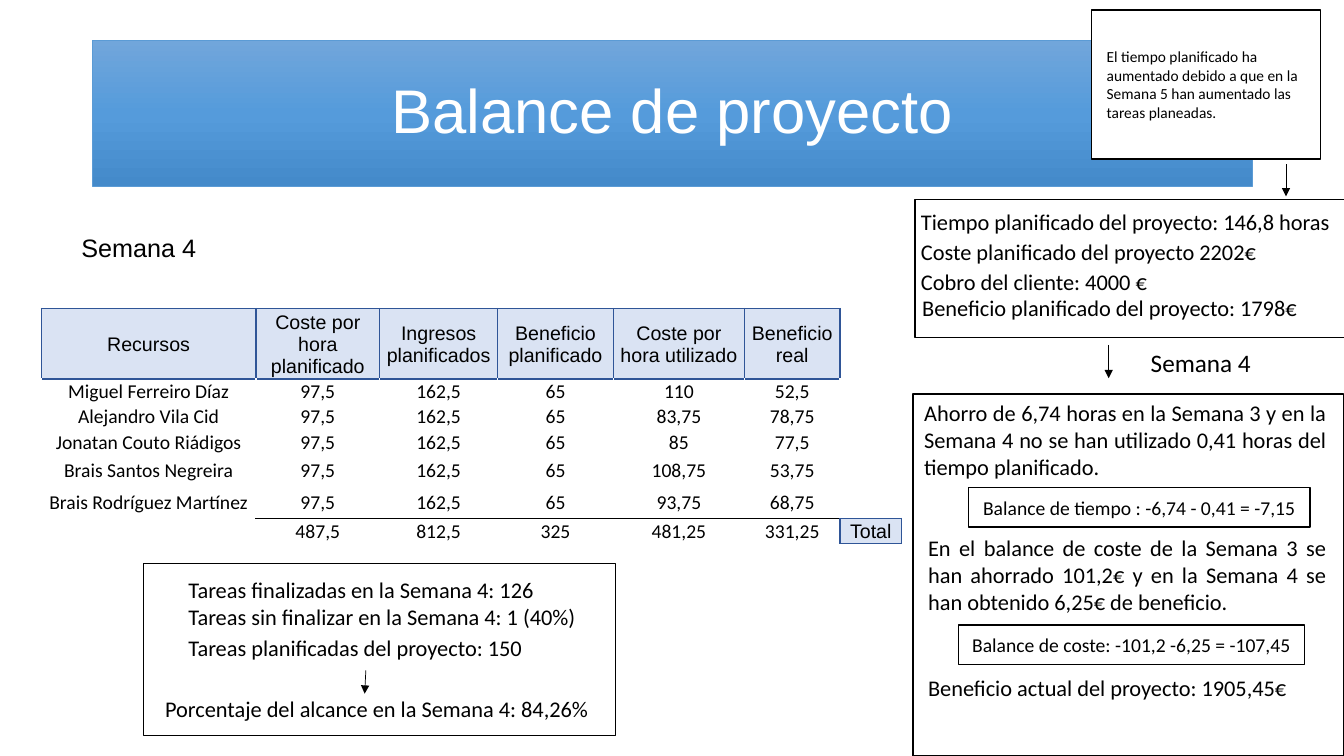
from copy import deepcopy
from dataclasses import dataclass

from lxml import etree
from pptx import Presentation
from pptx.dml.color import RGBColor
from pptx.enum.shapes import MSO_CONNECTOR, MSO_SHAPE
from pptx.enum.text import MSO_ANCHOR, MSO_AUTO_SIZE, PP_ALIGN
from pptx.oxml.ns import qn
from pptx.util import Cm, Pt

LEFT, CENTER, JUSTIFY = PP_ALIGN.LEFT, PP_ALIGN.CENTER, PP_ALIGN.JUSTIFY
TOP, MIDDLE = MSO_ANCHOR.TOP, MSO_ANCHOR.MIDDLE
NO_AUTOFIT = MSO_AUTO_SIZE.NONE
RECT, STRAIGHT = MSO_SHAPE.RECTANGLE, MSO_CONNECTOR.STRAIGHT


@dataclass(frozen=True)
class Theme:
    black: str = "000000"
    white: str = "FFFFFF"
    header: str = "DAE3F3"
    border: str = "2F5597"
    title_line: str = "5B9BD5"
    gradient: tuple[str, ...] = ("71A6DB", "559BDB", "448ACA")
    heading_font: str = "Arial"
    body_font: str = "Calibri"
    title: int = 44
    label: int = 18
    body: int = 16
    small: int = 14
    note: int = 11


THEME = Theme()


@dataclass(frozen=True)
class Text:
    x: float
    y: float
    w: float
    h: float
    lines: tuple[str, ...]
    size: int = THEME.body
    font: str = THEME.body_font
    align: PP_ALIGN = LEFT


@dataclass(frozen=True)
class Frame:
    x: float
    y: float
    w: float
    h: float
    text: str = ""
    filled: bool = True


@dataclass(frozen=True)
class Arrow:
    x1: float
    y1: float
    x2: float
    y2: float


WEEK = "Semana 4"
ITEMS = (
    Text(1.8, 5.74, 3.58, 1.02, (WEEK,), THEME.label, THEME.heading_font),
    Frame(23.06, 5.03, 10.85, 3.48, filled=False),
    Text(22.96, 5.11, 11.48, 0.94, ("Tiempo planificado del proyecto: 146,8 horas",)),
    Text(22.96, 5.87, 10.85, 0.94, ("Coste planificado del proyecto 2202€",)),
    Text(22.96, 6.63, 10.77, 0.94, ("Cobro del cliente: 4000 €",)),
    Text(22.99, 7.29, 10.77, 0.94, ("Beneficio planificado del proyecto: 1798€",)),
    Arrow(27.94, 8.69, 27.94, 9.53),
    Text(28.75, 8.64, 4.52, 1.02, (WEEK,), THEME.label),
    Frame(23.01, 9.93, 10.85, 9.12, filled=False),
    Text(23.04, 9.93, 10.64, 2.31, (
        "Ahorro de 6,74 horas en la Semana 3 y en la Semana 4 no se han utilizado "
        "0,41 horas del tiempo planificado.",), align=JUSTIFY),
    Frame(24.41, 12.29, 8.61, 0.99, "Balance de tiempo : -6,74 - 0,41 = -7,15"),
    Text(23.14, 13.34, 10.54, 2.31, (
        "En el balance de coste de la Semana 3 se han ahorrado 101,2€ y en la "
        "Semana 4 se han obtenido 6,25€ de beneficio.",), align=JUSTIFY),
    Frame(24.16, 15.75, 8.71, 0.99, "Balance de coste: -101,2 -6,25 = -107,45"),
    Text(23.14, 16.87, 10.54, 0.94, ("Beneficio actual del proyecto: 1905,45€",)),
    Frame(27.51, 0.25, 5.77, 3.76),
    Text(27.64, 1.07, 5.66, 2.13, (
        "El tiempo planificado ha aumentado debido a que en la Semana 5 han "
        "aumentado las tareas planeadas.",), THEME.note),
    Arrow(32.41, 4.14, 32.41, 4.95),
    Frame(3.61, 14.2, 11.91, 4.34),
    Text(4.5, 14.4, 10.69, 1.63, (
        "Tareas finalizadas en la Semana 4: 126",
        "Tareas sin finalizar en la Semana 4: 1 (40%)")),
    Text(4.5, 15.85, 9.45, 0.94, ("Tareas planificadas del proyecto: 150",)),
    Arrow(9.22, 16.89, 9.19, 17.48),
    Text(3.91, 17.4, 11.43, 0.94, ("Porcentaje del alcance en la Semana 4: 84,26%",)),
)

COLUMNS = (5.41, 3.12, 2.97, 2.92, 3.3, 2.41, 1.55)
ROWS = (1.78, 0.62, 0.62, 0.62, 0.81, 0.81, 0.62)
DATA = (
    ("Recursos", "Coste por hora planificado", "Ingresos planificados",
     "Beneficio planificado", "Coste por hora utilizado", "Beneficio real", ""),
    ("Miguel Ferreiro Díaz", "97,5", "162,5", "65", "110", "52,5", ""),
    ("Alejandro Vila Cid", "97,5", "162,5", "65", "83,75", "78,75", ""),
    ("Jonatan Couto Riádigos", "97,5", "162,5", "65", "85", "77,5", ""),
    ("Brais Santos Negreira", "97,5", "162,5", "65", "108,75", "53,75", ""),
    ("Brais Rodríguez Martínez", "97,5", "162,5", "65", "93,75", "68,75", ""),
    ("", "487,5", "812,5", "325", "481,25", "331,25", "Total"),
)


def rgb(color: str) -> RGBColor:
    return RGBColor.from_string(color)


def apply(obj, values: dict) -> None:
    for name, value in values.items():
        setattr(obj, name, value)


def write(tf, lines: tuple[str, ...], size: int, font: str, align: PP_ALIGN,
          color: str = THEME.black) -> None:
    for i, line in enumerate(lines):
        p = tf.add_paragraph() if i else tf.paragraphs[0]
        p.alignment = align
        r = p.add_run()
        r.text = line
        apply(r.font, {"size": Pt(size), "name": font, "bold": False})
        r.font.color.rgb = rgb(color)


def add_title(slide) -> None:
    s = slide.shapes.title
    apply(s, {"left": Cm(2.34), "top": Cm(1.02), "width": Cm(29.21), "height": Cm(3.68)})
    s.fill.gradient()
    s.fill.gradient_angle = 270
    stops = s.element.spPr.find(".//" + qn("a:gsLst"))
    stops.append(deepcopy(stops[0]))
    for i, (stop, color) in enumerate(zip(s.fill.gradient_stops, THEME.gradient)):
        stop.position = i / 2
        stop.color.rgb = rgb(color)
    s.line.color.rgb = rgb(THEME.title_line)
    s.line.width = Pt(0.5)
    tf = s.text_frame
    apply(tf, {"auto_size": NO_AUTOFIT, "vertical_anchor": MIDDLE})
    write(tf, ("Balance de proyecto",), THEME.title, THEME.heading_font, CENTER, THEME.white)
    tf.paragraphs[0].line_spacing = 0.9


def add_text(slide, item: Text) -> None:
    s = slide.shapes.add_textbox(Cm(item.x), Cm(item.y), Cm(item.w), Cm(item.h))
    tf = s.text_frame
    apply(tf, {"word_wrap": True, "auto_size": NO_AUTOFIT, "vertical_anchor": TOP})
    write(tf, item.lines, item.size, item.font, item.align)


def add_frame(slide, item: Frame) -> None:
    s = slide.shapes.add_shape(RECT, Cm(item.x), Cm(item.y), Cm(item.w), Cm(item.h))
    s.shadow.inherit = False
    if item.filled:
        s.fill.solid()
        s.fill.fore_color.rgb = rgb(THEME.white)
    else:
        s.fill.background()
    s.line.color.rgb = rgb(THEME.black)
    s.line.width = Pt(1)
    if item.text:
        s.text_frame.vertical_anchor = MIDDLE
        write(s.text_frame, (item.text,), THEME.small, THEME.body_font, CENTER)


def add_arrow(slide, item: Arrow) -> None:
    s = slide.shapes.add_connector(STRAIGHT, Cm(item.x1), Cm(item.y1), Cm(item.x2), Cm(item.y2))
    s.line.color.rgb = rgb(THEME.black)
    s.line.width = Pt(0.5)
    sp_pr = s.element.spPr
    etree.SubElement(sp_pr.find(qn("a:ln")), qn("a:tailEnd"), type="triangle")
    etree.SubElement(sp_pr, qn("a:effectLst"))


def add_border(cell, side: str, color: str, width: float) -> None:
    ln = etree.SubElement(cell._tc.get_or_add_tcPr(), qn("a:ln" + side), w=str(Pt(width)))
    fill = etree.SubElement(ln, qn("a:solidFill"))
    etree.SubElement(fill, qn("a:srgbClr"), val=color)


def cell_borders(row: int, col: int) -> dict[str, tuple[str, float]]:
    last_row, last_col = len(ROWS) - 1, len(COLUMNS) - 1
    blue, thin = (THEME.border, 1), (THEME.black, 0.5)
    if (row == 0 and col < last_col) or (row, col) == (last_row, last_col):
        return dict.fromkeys("LRTB", blue)
    sides = {}
    if row == 0:
        sides["L"] = blue
    if row == 1 and col < last_col:
        sides["T"] = blue
    if row == last_row and col:
        sides["T"] = thin
        if col == last_col - 1:
            sides["R"] = blue
    if row == last_row - 1 and col:
        sides["B"] = blue if col == last_col else thin
    return sides


def add_resources(slide) -> None:
    table = slide.shapes.add_table(len(ROWS), len(COLUMNS), Cm(1.04), Cm(7.77),
                                   Cm(sum(COLUMNS)), Cm(sum(ROWS))).table
    apply(table, {"first_row": False, "horz_banding": False})
    for column, width in zip(table.columns, COLUMNS):
        column.width = Cm(width)
    for i, (row, height) in enumerate(zip(table.rows, ROWS)):
        row.height = Cm(height)
        for j, cell in enumerate(row.cells):
            apply(cell, {"margin_left": Cm(0.03), "margin_right": Cm(0.03),
                         "margin_top": Cm(0.03), "margin_bottom": 0,
                         "vertical_anchor": MIDDLE})
            borders = cell_borders(i, j)
            for side in "LRTB":
                if side in borders:
                    add_border(cell, side, *borders[side])
            heading = len(borders) == 4
            if heading:
                cell.fill.solid()
                cell.fill.fore_color.rgb = rgb(THEME.header)
            else:
                cell.fill.background()
            p = cell.text_frame.paragraphs[0]
            if DATA[i][j]:
                font = THEME.heading_font if heading else THEME.body_font
                write(cell.text_frame, (DATA[i][j],), THEME.small, font, CENTER)
            else:
                etree.SubElement(p._p, qn("a:endParaRPr"), sz=str(THEME.small * 100))


def main() -> None:
    prs = Presentation()
    apply(prs, {"slide_width": Cm(33.87), "slide_height": Cm(19.05)})
    slide = prs.slides.add_slide(prs.slide_layouts[5])
    add_title(slide)
    add_resources(slide)
    draw = {Text: add_text, Frame: add_frame, Arrow: add_arrow}
    for item in ITEMS:
        draw[type(item)](slide, item)
    prs.save("out.pptx")


if __name__ == "__main__":
    main()
